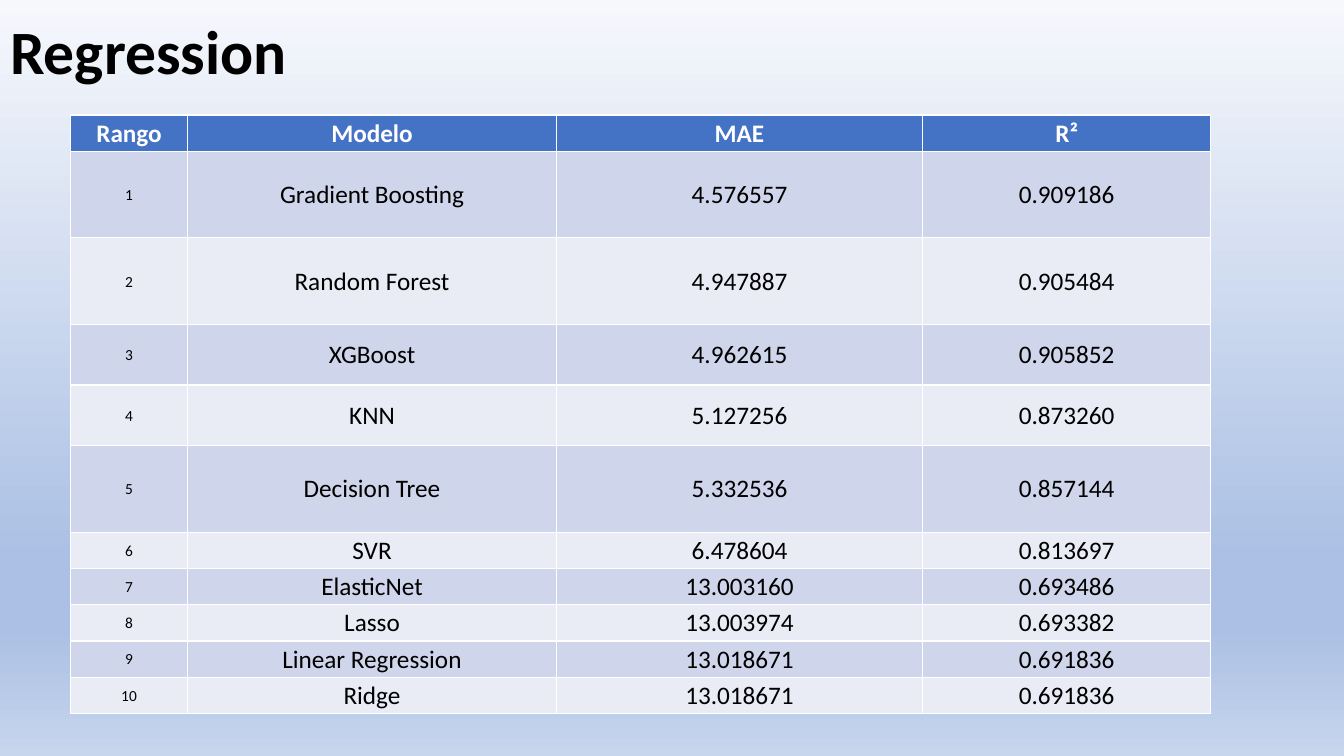
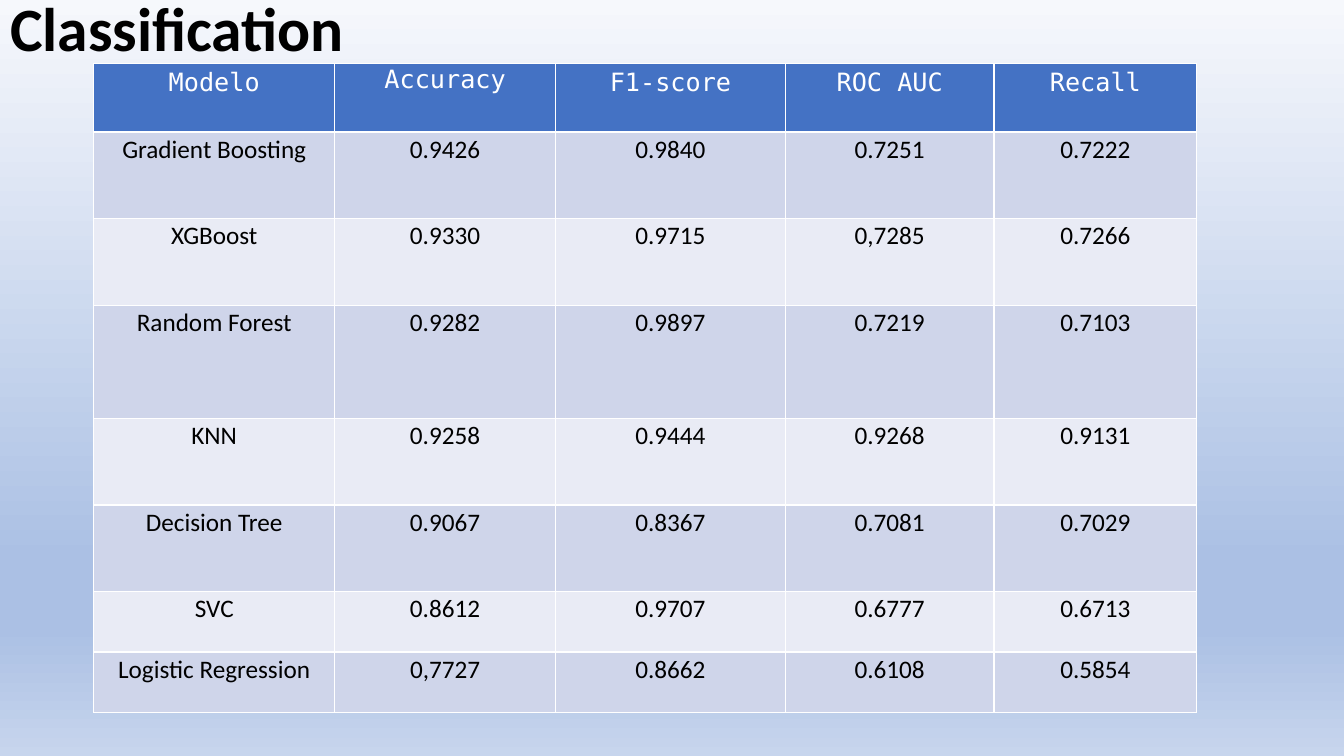
"""Builds two slides that rank regression and classification models."""
from pptx import Presentation
from pptx.dml.color import RGBColor
from pptx.enum.text import MSO_ANCHOR, MSO_AUTO_SIZE, PP_ALIGN
from pptx.oxml import parse_xml
from pptx.oxml.ns import nsdecls, qn
from pptx.util import Inches, Pt

LEFT, CENTER = PP_ALIGN.LEFT, PP_ALIGN.CENTER
TOP, MIDDLE = MSO_ANCHOR.TOP, MSO_ANCHOR.MIDDLE
FIXED = MSO_AUTO_SIZE.NONE

BLACK = RGBColor(0x00, 0x00, 0x00)
WHITE = RGBColor(0xFF, 0xFF, 0xFF)
BLUE = RGBColor(0x44, 0x72, 0xC4)
BANDS = [RGBColor(0xCF, 0xD5, 0xEA), RGBColor(0xE9, 0xEB, 0xF5)]
PALE = RGBColor(0xF6, 0xF8, 0xFC)
SKY = RGBColor(0xAB, 0xC0, 0xE4)
MIST = RGBColor(0xC7, 0xD5, 0xED)
STOPS = [(0, PALE), (74, SKY), (83, SKY), (100, MIST)]
SANS, MONO = "Calibri", "DejaVu Sans Mono"

TIGHT = (0.01, 0.01, 0.01, 0)
SIDES = (0.07, 0, 0.07, 0)
USUAL = (0.1, 0.05, 0.1, 0.05)

SCORES = [
    ("Gradient Boosting", "4.576557", "0.909186"),
    ("Random Forest", "4.947887", "0.905484"),
    ("XGBoost", "4.962615", "0.905852"),
    ("KNN", "5.127256", "0.873260"),
    ("Decision Tree", "5.332536", "0.857144"),
    ("SVR", "6.478604", "0.813697"),
    ("ElasticNet", "13.003160", "0.693486"),
    ("Lasso", "13.003974", "0.693382"),
    ("Linear Regression", "13.018671", "0.691836"),
    ("Ridge", "13.018671", "0.691836"),
]

SLIDES = [
    {
        "title": "Regression", "title_top": -0.18,
        "left": 0.7, "top": 1.14,
        "cols": [1.16, 3.66, 3.63, 2.86],
        "rows": [0.36, 0.86, 0.86, 0.6, 0.6, 0.86] + [0.36] * 5,
        "head": ("Rango", "Modelo", "MAE", "R²"),
        "body": [(str(rank), *row) for rank, row in enumerate(SCORES, 1)],
        "head_font": SANS, "head_bold": True, "anchor": MIDDLE,
        "head_inset": TIGHT, "inset": TIGHT, "first_size": 11,
        "spacing": 1.0, "after": 0, "raised": (),
    },
    {
        "title": "Classification", "title_top": -0.41,
        "left": 0.93, "top": 0.63,
        "cols": [2.39, 2.19, 2.28, 2.07, 2.01],
        "rows": [0.68, 0.86, 0.86, 1.12, 0.86, 0.86, 0.6, 0.6],
        "head": ("Modelo", "Accuracy", "F1-score", "ROC AUC", "Recall"),
        "body": [
            ("Gradient Boosting", "0.9426", "0.9840", "0.7251", "0.7222"),
            ("XGBoost", "0.9330", "0.9715", "0,7285", "0.7266"),
            ("Random Forest", "0.9282", "0.9897", "0.7219", "0.7103"),
            ("KNN", "0.9258", "0.9444", "0.9268", "0.9131"),
            ("Decision Tree", "0.9067", "0.8367", "0.7081", "0.7029"),
            ("SVC", "0.8612", "0.9707", "0.6777", "0.6713"),
            ("Logistic Regression", "0,7727", "0.8662", "0.6108", "0.5854"),
        ],
        "head_font": MONO, "head_bold": False, "anchor": TOP,
        "head_inset": USUAL, "inset": SIDES, "first_size": 18,
        "spacing": 1.07, "after": 8, "raised": ("Accuracy",),
    },
]


def add_run(para, text, size, font, color, bold):
    run = para.add_run()
    run.text = text
    run.font.size, run.font.name, run.font.bold = Pt(size), font, bold
    run.font.color.rgb = color


def paint_back(master):
    fill = master.background.fill
    fill.gradient()
    fill.gradient_angle = 270
    stops = master.element.find(".//" + qn("a:gsLst"))
    for stop in list(stops):
        stops.remove(stop)
    for place, color in STOPS:
        stops.append(parse_xml(
            f'<a:gs {nsdecls("a")} pos="{place * 1000}">'
            f'<a:srgbClr val="{color}"/></a:gs>'))


def add_title(slide, text, top):
    title = slide.shapes.title
    title.left, title.top = Inches(0), Inches(top)
    title.width, title.height = Inches(11.5), Inches(1.45)
    frame = title.text_frame
    frame.auto_size, frame.vertical_anchor = FIXED, MIDDLE
    para = frame.paragraphs[0]
    para.alignment, para.line_spacing = LEFT, 0.9
    add_run(para, text, 44, SANS, BLACK, True)


def fill_cell(cell, text, row, col, spec):
    head = row == 0
    plain = head and text not in spec["raised"]
    inset = spec["head_inset"] if plain else spec["inset"]
    (cell.margin_left, cell.margin_top,
     cell.margin_right, cell.margin_bottom) = map(Inches, inset)
    cell.vertical_anchor = spec["anchor"]
    cell.fill.solid()
    cell.fill.fore_color.rgb = BLUE if head else BANDS[(row - 1) % 2]
    para = cell.text_frame.paragraphs[0]
    para.alignment = CENTER
    if not plain:
        para.line_spacing, para.space_after = spec["spacing"], Pt(spec["after"])
    if head:
        add_run(para, text, 18, spec["head_font"], WHITE, spec["head_bold"])
    else:
        size = 18 if col else spec["first_size"]
        add_run(para, text, size, SANS, BLACK, False)


def add_grid(slide, spec):
    cols, rows = spec["cols"], spec["rows"]
    table = slide.shapes.add_table(
        len(rows), len(cols), Inches(spec["left"]), Inches(spec["top"]),
        Inches(sum(cols)), Inches(sum(rows))).table
    for col, width in zip(table.columns, cols):
        col.width = Inches(width)
    for row, height in zip(table.rows, rows):
        row.height = Inches(height)
    for row, texts in enumerate([spec["head"], *spec["body"]]):
        for col, text in enumerate(texts):
            fill_cell(table.cell(row, col), text, row, col, spec)


def main():
    deck = Presentation()
    deck.slide_width, deck.slide_height = Inches(13.33), Inches(7.5)
    paint_back(deck.slide_master)
    for spec in SLIDES:
        slide = deck.slides.add_slide(deck.slide_layouts[5])
        add_title(slide, spec["title"], spec["title_top"])
        add_grid(slide, spec)
    deck.save("out.pptx")


if __name__ == "__main__":
    main()
